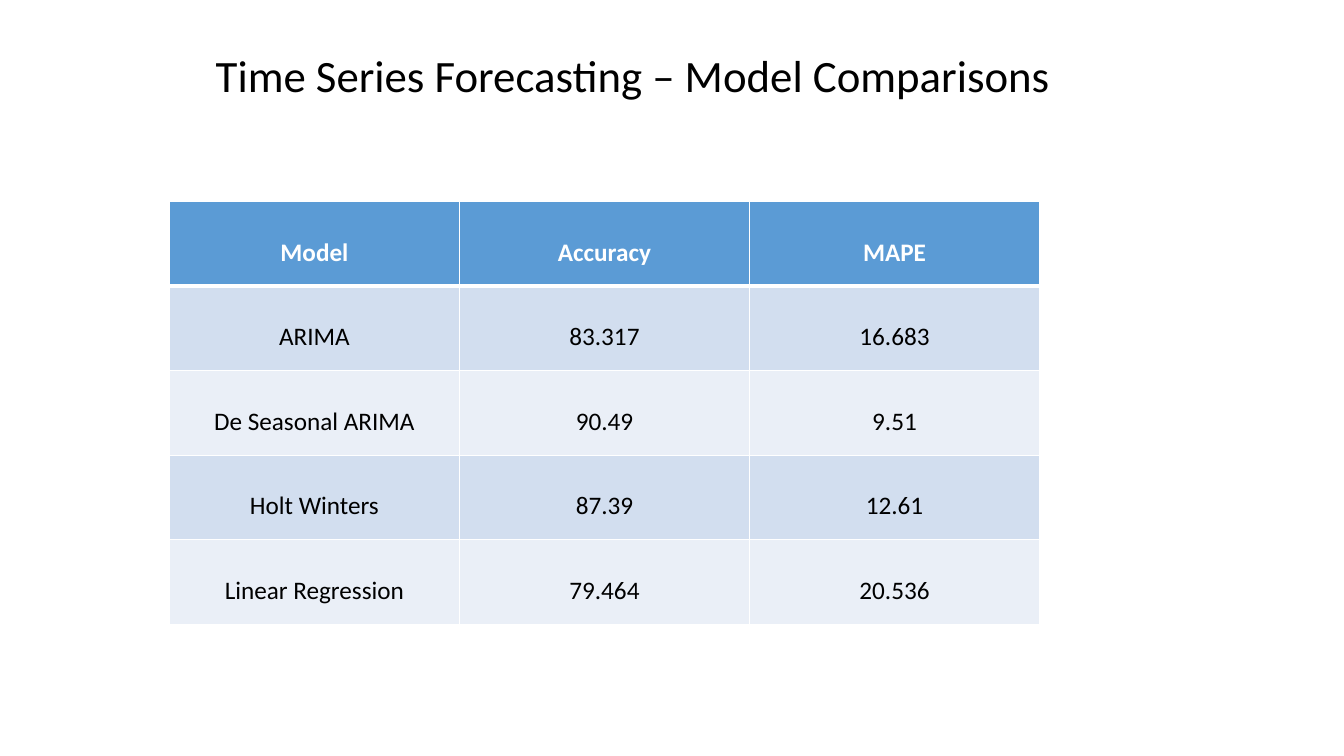
"""Build a slide that compares time series forecasting models."""
from lxml.etree import SubElement
from pptx import Presentation
from pptx.dml.color import RGBColor
from pptx.enum.text import MSO_ANCHOR as Anchor, PP_ALIGN as Align
from pptx.oxml.ns import qn
from pptx.util import Pt

TITLE = "Time Series Forecasting – Model Comparisons"
ROWS = [
    ("Model", "Accuracy", "MAPE"),
    ("ARIMA", "83.317", "16.683"),
    ("De Seasonal ARIMA", "90.49", "9.51"),
    ("Holt Winters", "87.39", "12.61"),
    ("Linear Regression", "79.464", "20.536"),
]

FONT = "Calibri"
BLACK = RGBColor(0x00, 0x00, 0x00)
WHITE = RGBColor(0xFF, 0xFF, 0xFF)
BLUE = RGBColor(0x5B, 0x9B, 0xD5)
BANDS = [RGBColor(0xEA, 0xEF, 0xF7), RGBColor(0xD2, 0xDE, 0xEF)]

LEFT, TOP = 121, 144
COL, ROW = 207.2, 60.4


def style(para, size, color, bold=False):
    """Centre a paragraph and set its font."""
    para.alignment = Align.CENTER
    font = para.font
    font.name, font.size, font.bold = FONT, Pt(size), bold
    font.color.rgb = color


def border(cell, side, width):
    """Draw a white line on one side of a cell."""
    props = cell._tc.get_or_add_tcPr()
    line = SubElement(props, qn(f"a:ln{side}"), w=str(Pt(width)))
    fill = SubElement(line, qn("a:solidFill"))
    SubElement(fill, qn("a:srgbClr"), val=str(WHITE))


def add_title(slide):
    """Place and format the title."""
    title = slide.shapes.title
    title.left, title.top = Pt(88), Pt(30)
    title.width, title.height = Pt(728.5), Pt(46)
    frame = title.text_frame
    frame.text = TITLE
    frame.word_wrap = True
    frame.vertical_anchor = Anchor.MIDDLE
    style(frame.paragraphs[0], 32, BLACK)


def add_scores(slide):
    """Add the table of model scores."""
    count, wide = len(ROWS), len(ROWS[0])
    table = slide.shapes.add_table(
        count, wide, Pt(LEFT), Pt(TOP), Pt(COL * wide), Pt(ROW * count)
    ).table
    for col in table.columns:
        col.width = Pt(COL)
    for i, texts in enumerate(ROWS):
        table.rows[i].height = Pt(ROW)
        head = i == 0
        for j, text in enumerate(texts):
            cell = table.cell(i, j)
            cell.text = text
            cell.vertical_anchor = Anchor.TOP
            para = cell.text_frame.paragraphs[0]
            para.line_spacing = 2.0
            style(para, 18, WHITE if head else BLACK, head)
            for side in "LRTB":
                thick = (i, side) in ((0, "B"), (1, "T"))
                border(cell, side, 3 if thick else 1)
            cell.fill.solid()
            cell.fill.fore_color.rgb = BLUE if head else BANDS[i % 2]


def main():
    """Make the deck and save it."""
    deck = Presentation()
    deck.slide_width, deck.slide_height = Pt(960), Pt(540)
    slide = deck.slides.add_slide(deck.slide_layouts[5])
    add_title(slide)
    add_scores(slide)
    deck.save("out.pptx")


if __name__ == "__main__":
    main()
